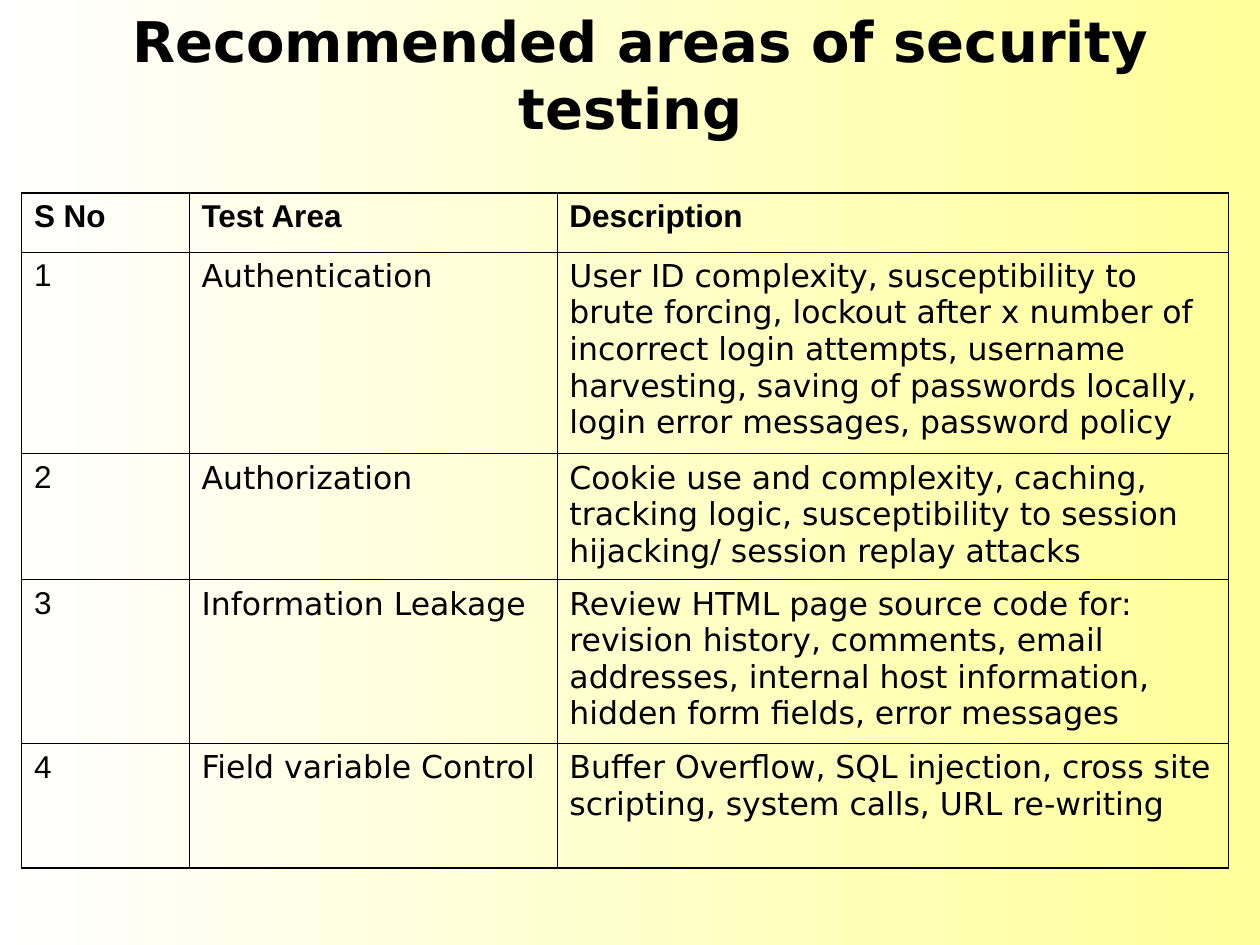
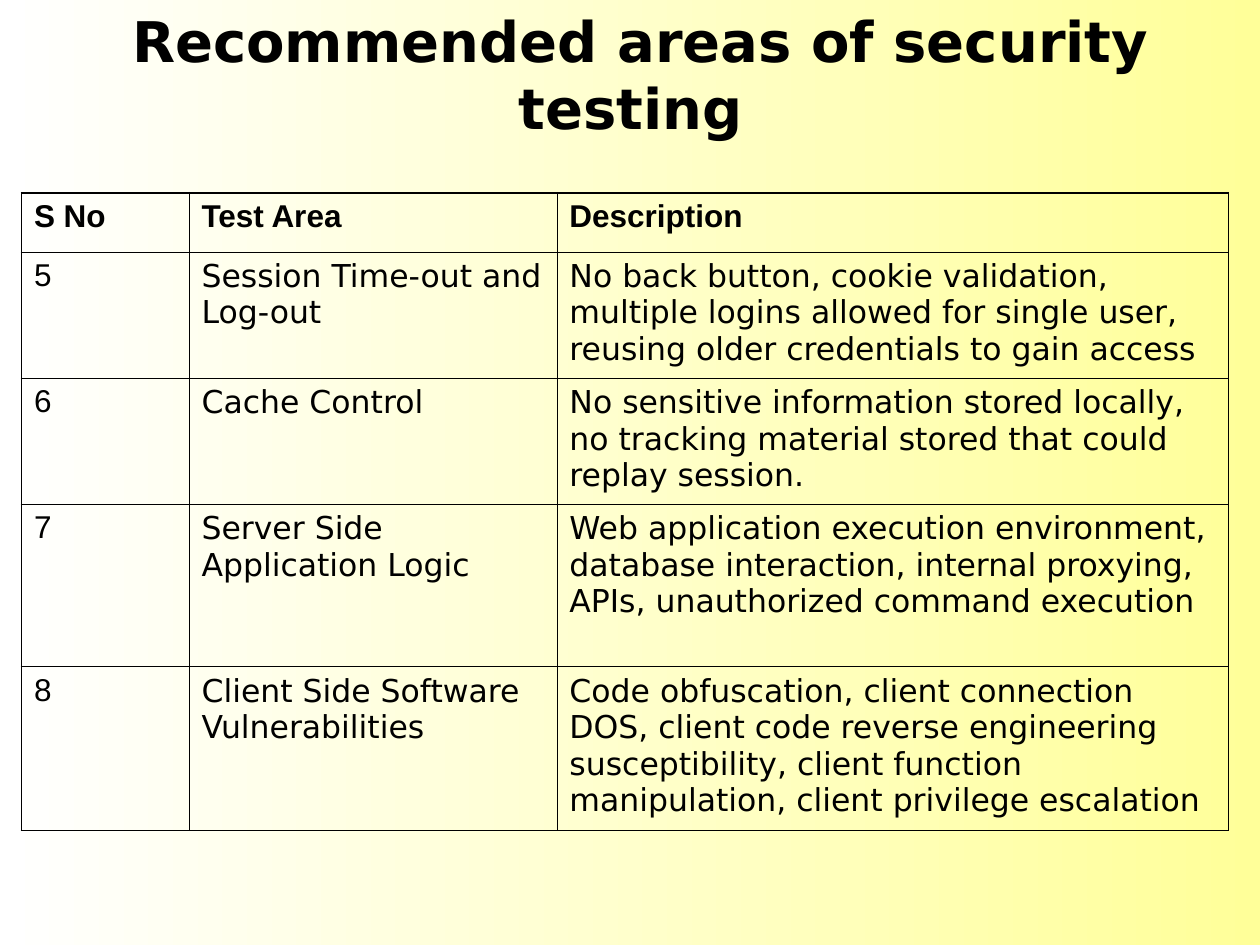
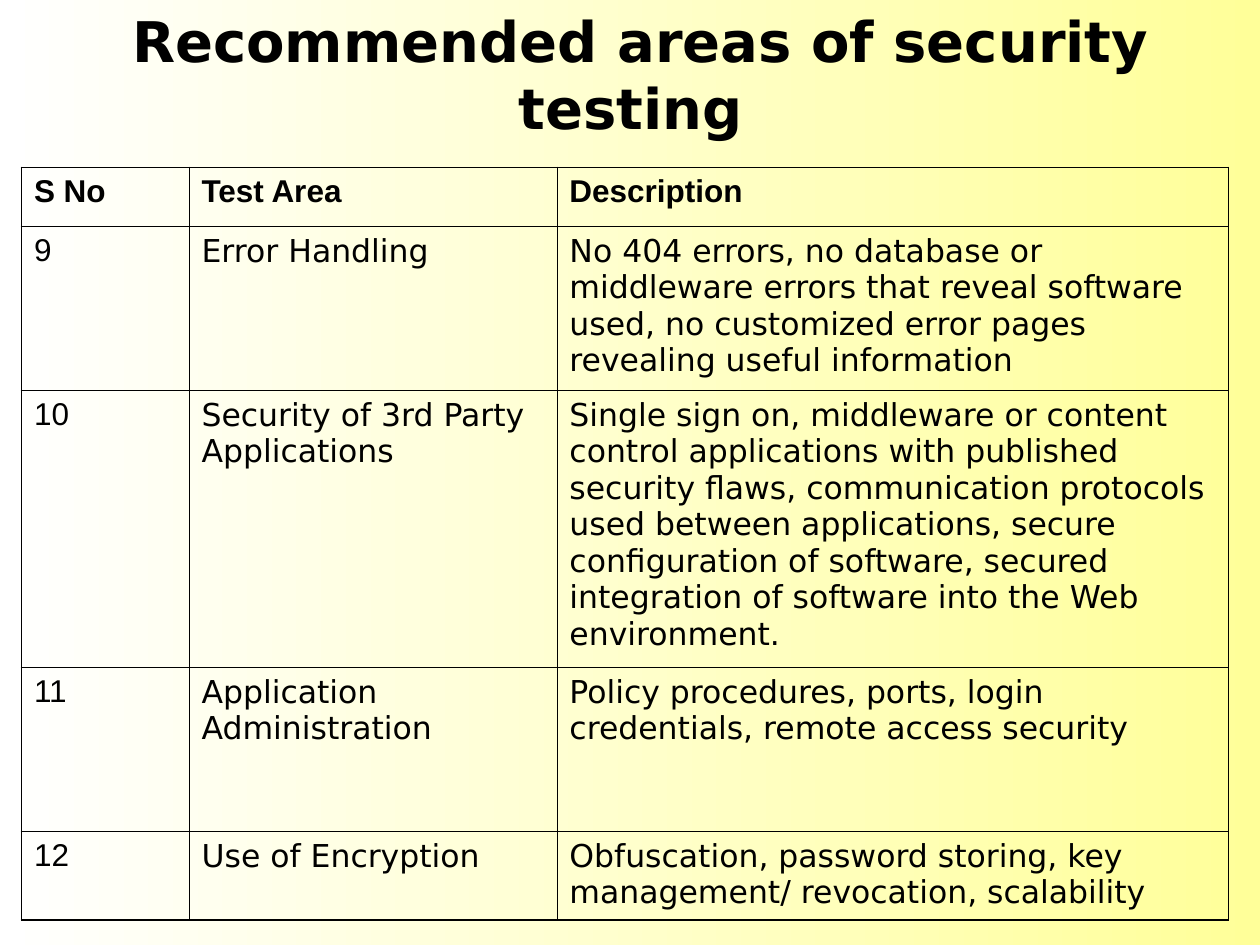
from lxml import etree
from pptx import Presentation
from pptx.dml.color import RGBColor
from pptx.enum.text import MSO_ANCHOR, PP_ALIGN
from pptx.oxml.ns import qn
from pptx.util import Inches, Pt

BOTTOM, CENTER = MSO_ANCHOR.BOTTOM, PP_ALIGN.CENTER

BLACK, YELLOW, WHITE = "000000", "FFFF99", "FFFFFF"
BODY_FONT, LABEL_FONT = "DejaVu Sans", "Arial"
OUTER_LINE, INNER_LINE = 1.08, 0.45

TITLE = "Recommended areas of security testing "
TITLE_BOX = (0.17, 0.5, 9.83, 0.67)
HEADER = ("S No", "Test Area", "Description")
HEADER_HEIGHT = 0.47
COL_WIDTHS = (1.33, 2.92, 5.33)
TABLE_LEFT = 0.17

# Each slide: top of its table, then (row height, test area, description)
SLIDES = [
    (1.53, [
        (1.6, "Authentication",
         "User ID complexity, susceptibility to brute forcing, lockout after x number of "
         "incorrect login attempts, username harvesting, saving of passwords locally, "
         "login error messages, password policy"),
        (1, "Authorization",
         "Cookie use and complexity, caching, tracking logic, susceptibility to session "
         "hijacking/ session replay attacks"),
        (1.3, "Information Leakage",
         "Review HTML page source code for: revision history, comments, email addresses, "
         "internal host information, hidden form fields, error messages"),
        (0.99, "Field variable Control",
         "Buffer Overflow, SQL injection, cross site scripting, system calls, URL re-writing"),
    ]),
    (1.53, [
        (1, "Session Time-out and Log-out",
         "No back button, cookie validation, multiple logins allowed for single user, "
         "reusing older credentials to gain access"),
        (1, "Cache Control",
         "No sensitive information stored locally, no tracking material stored that could "
         "replay session."),
        (1.29, "Server Side Application Logic",
         "Web application execution environment, database interaction, internal proxying, "
         "APIs, unauthorized command execution"),
        (1.3, "Client Side Software Vulnerabilities",
         "Code obfuscation, client connection DOS, client code reverse engineering "
         "susceptibility, client function manipulation, client privilege escalation"),
    ]),
    (1.33, [
        (1.3, "Error Handling",
         "No 404 errors, no database or middleware errors that reveal software used, no "
         "customized error pages revealing useful information"),
        (2.2, "Security of 3rd Party Applications",
         "Single sign on, middleware or content control applications with published "
         "security flaws, communication protocols used between applications, secure "
         "configuration of software, secured integration of software into the Web "
         "environment."),
        (1.3, "Application Administration",
         "Policy procedures, ports, login credentials, remote access security"),
        (0.7, "Use of Encryption",
         "Obfuscation, password storing, key management/ revocation, scalability"),
    ]),
]


def rgb(color):
    return RGBColor.from_string(color)


def style_text(p, font, size, bold=False):
    for r in p.runs:
        r.font.name = font
        r.font.size = Pt(size)
        r.font.bold = bold
        r.font.color.rgb = rgb(BLACK)


def paint_background(s):
    fill = s.background.fill
    fill.gradient()
    fill.gradient_angle = 180
    for stop, color in zip(fill.gradient_stops, (YELLOW, WHITE)):
        stop.color.rgb = rgb(color)


def add_title(s, box):
    sp = s.shapes.add_textbox(*map(Inches, box))
    tf = sp.text_frame
    tf.word_wrap = True
    tf.vertical_anchor = BOTTOM
    tf.text = TITLE
    p = tf.paragraphs[0]
    p.alignment = CENTER
    style_text(p, BODY_FONT, 32, bold=True)


def set_borders(cell, outer_sides):
    """Draw all four borders, heavier on the sides at the table's edge."""
    tc_pr = cell._tc.get_or_add_tcPr()
    for side in "LRTB":
        width = OUTER_LINE if side in outer_sides else INNER_LINE
        ln = etree.SubElement(tc_pr, qn(f"a:ln{side}"), w=str(Pt(width)))
        fill = etree.SubElement(ln, qn("a:solidFill"))
        etree.SubElement(fill, qn("a:srgbClr"), val=BLACK)


def add_area_table(s, left, top, first_number, areas):
    rows = [HEADER] + [(str(n), area, description)
                       for n, (_, area, description) in enumerate(areas, first_number)]
    heights = [HEADER_HEIGHT] + [area[0] for area in areas]
    table = s.shapes.add_table(len(rows), len(HEADER), Inches(left), Inches(top),
                               Inches(sum(COL_WIDTHS)), Inches(sum(heights))).table
    table.first_row = table.horz_banding = False
    for column, width in zip(table.columns, COL_WIDTHS):
        column.width = Inches(width)
    last_row, last_col = len(rows) - 1, len(HEADER) - 1
    for i, texts in enumerate(rows):
        table.rows[i].height = Inches(heights[i])
        for j, text in enumerate(texts):
            cell = table.cell(i, j)
            edges = {"T": i == 0, "B": i == last_row, "L": j == 0, "R": j == last_col}
            set_borders(cell, [side for side, outer in edges.items() if outer])
            cell.fill.background()
            cell.text_frame.text = text
            font = LABEL_FONT if i == 0 or j == 0 else BODY_FONT
            style_text(cell.text_frame.paragraphs[0], font, 18, bold=i == 0)


def main():
    prs = Presentation()
    prs.slide_width, prs.slide_height = Inches(10), Inches(7.5)
    number = 1
    for top, areas in SLIDES:
        s = prs.slides.add_slide(prs.slide_layouts[6])
        paint_background(s)
        add_title(s, TITLE_BOX)
        add_area_table(s, TABLE_LEFT, top, number, areas)
        number += len(areas)
    prs.save("out.pptx")


if __name__ == "__main__":
    main()
